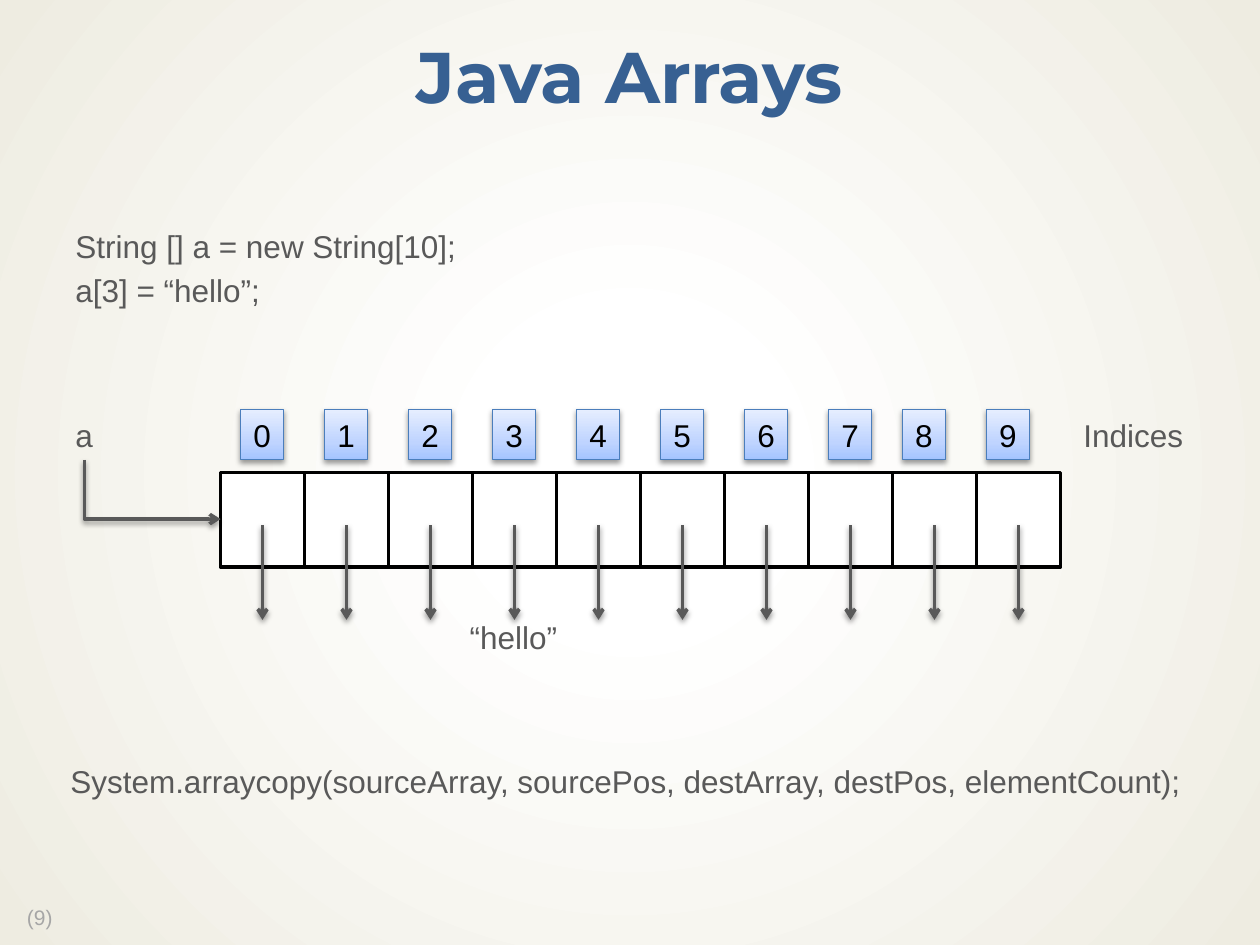
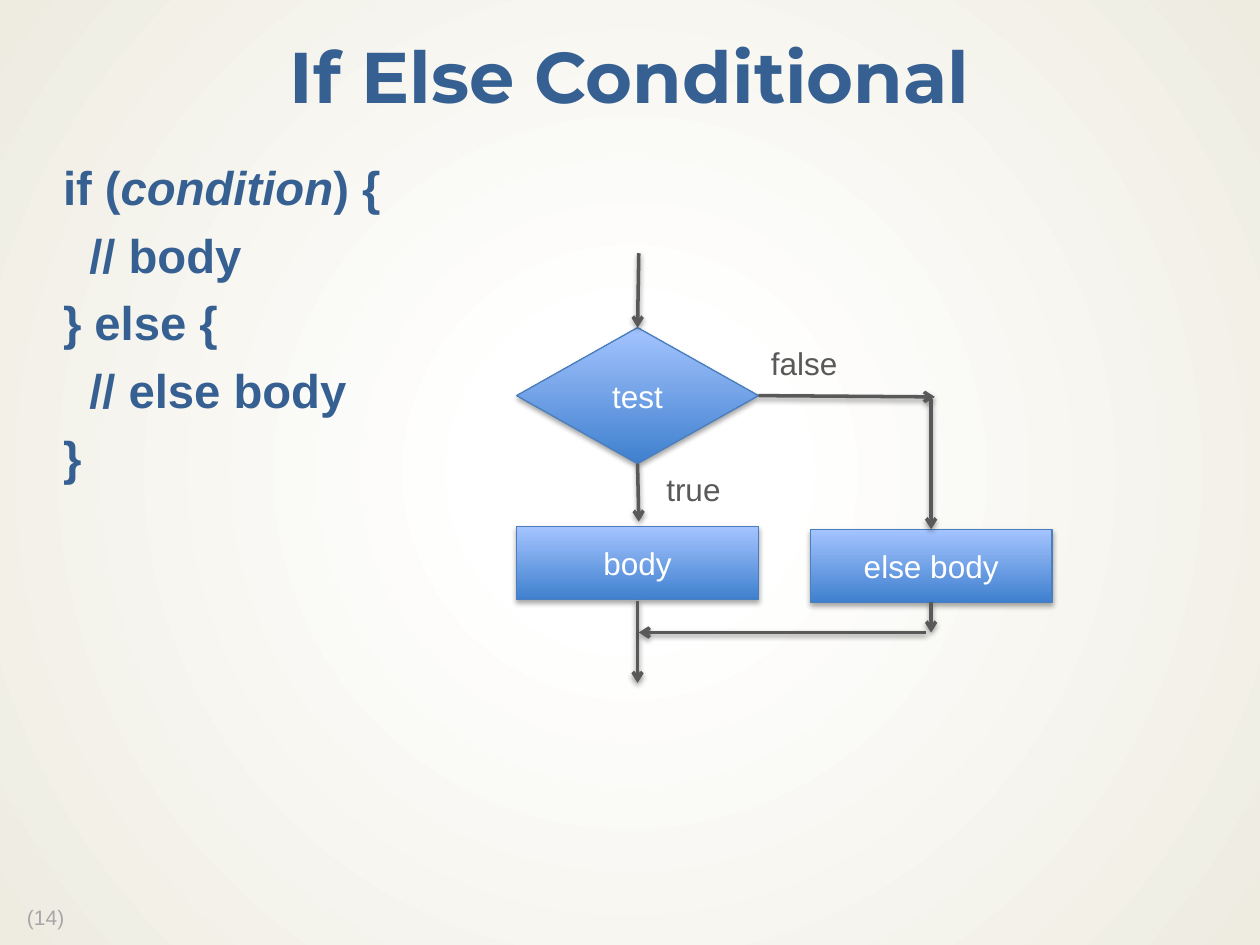
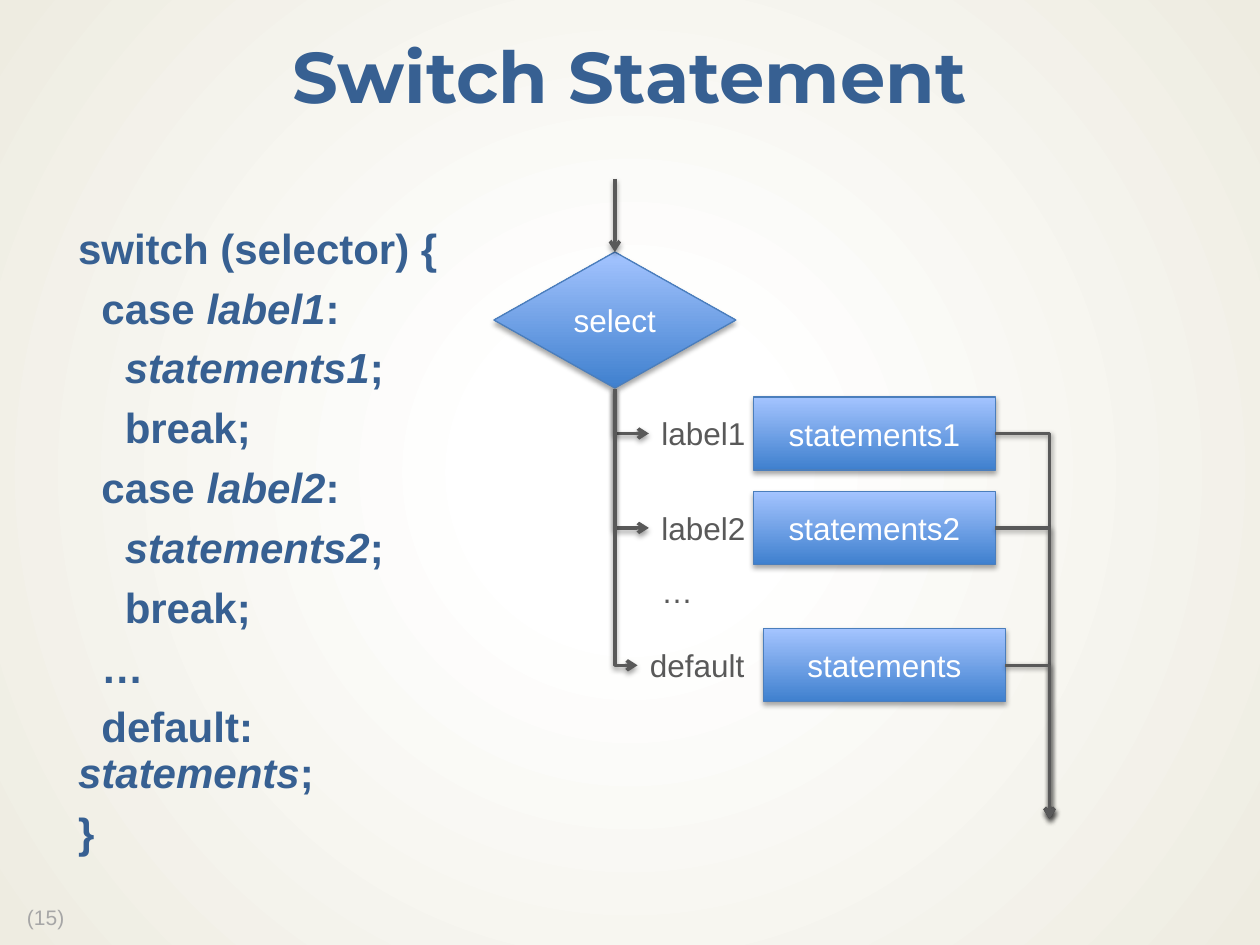
from dataclasses import dataclass

from pptx import Presentation, oxml, util as u
from pptx.dml.color import RGBColor
from pptx.enum import shapes, text
from pptx.oxml import ns


@dataclass(frozen=True)
class Theme:
    heading: str = "376092"
    body: str = "595959"
    muted: str = "A6A6A6"
    white: str = "FFFFFF"
    black: str = "000000"
    outline: str = "4B7EBC"
    head_font: str = "Montserrat"
    body_font: str = "Arial"
    title_size: int = 41
    label_size: int = 18
    footer_size: int = 12
    hairline: float = 0.75
    stroke: float = 2
    backdrop: tuple = ((18, "FFFFFF", 53), (100, "EEECE1", 100))
    deep: tuple = ((0, "3F80CE", 100), (100, "A4C4FF", 100))
    pale: tuple = ((0, "A4C4FF", 100), (35, "BFD4FF", 100), (100, "E6EEFF", 100))
    upward: str = '<a:lin ang="16200000" scaled="0"/>'
    radial: str = ('<a:path path="circle"><a:fillToRect l="50000" t="50000" '
                   'r="50000" b="50000"/></a:path>')


THEME = Theme()
SHAPE = shapes.MSO_SHAPE
LEFT, CENTER = text.PP_ALIGN.LEFT, text.PP_ALIGN.CENTER
TOP, MIDDLE = text.MSO_ANCHOR.TOP, text.MSO_ANCHOR.MIDDLE
NODE = (1.92, 0.58)
DIAMOND = (1.92, 1.08)


def assign(target, values):
    for name, value in values.items():
        setattr(target, name, value)


def apply_gradient(owner, fill, stops, direction):
    fill.background()
    marks = "".join(
        f'<a:gs pos="{place * 1000}"><a:srgbClr val="{color}">'
        f'<a:alpha val="{alpha * 1000}"/></a:srgbClr></a:gs>'
        for place, color, alpha in stops)
    gradient = oxml.parse_xml(
        f'<a:gradFill {ns.nsdecls("a")} rotWithShape="1">'
        f'<a:gsLst>{marks}</a:gsLst>{direction}</a:gradFill>')
    empty = owner.xpath(".//a:noFill")[0]
    empty.getparent().replace(empty, gradient)


def add_shadow(item, alpha, distance):
    item.element.spPr.append(oxml.parse_xml(
        f'<a:effectLst {ns.nsdecls("a")}><a:outerShdw blurRad="{u.Pt(3.1)}" '
        f'dist="{u.Pt(distance)}" dir="5400000" rotWithShape="0">'
        f'<a:srgbClr val="{THEME.black}"><a:alpha val="{alpha * 1000}"/>'
        '</a:srgbClr></a:outerShdw></a:effectLst>'))


class Builder:
    def __init__(self):
        self.deck = Presentation()
        assign(self.deck, {"slide_width": u.Inches(10),
                           "slide_height": u.Inches(7.5)})
        master = self.deck.slide_master
        apply_gradient(master.element, master.background.fill,
                       THEME.backdrop, THEME.radial)
        self.slide = None

    def page(self, title, number):
        self.slide = self.deck.slides.add_slide(self.deck.slide_layouts[6])
        self.label(f" ({number})", 0.07, 7.15, 0.56, 0.28, color=THEME.muted,
                   size=THEME.footer_size, spacing=0.9)
        box = self.slide.shapes.add_textbox(
            *map(u.Inches, (0, 0.17, 10, 0.94)))
        self.frame(box, wrap=True, anchor=MIDDLE, insets=(0.13, 0.06))
        self.fill_para(box.text_frame.paragraphs[0], title, THEME.title_size,
                       THEME.heading, CENTER, 0.9, bold=True,
                       font=THEME.head_font)

    def frame(self, box, wrap=False, anchor=TOP, insets=(0.1, 0.05)):
        side, edge = map(u.Inches, insets)
        assign(box.text_frame, {
            "word_wrap": wrap, "vertical_anchor": anchor,
            "margin_left": side, "margin_right": side,
            "margin_top": edge, "margin_bottom": edge})

    def fill_para(self, para, words, size, color, align=LEFT, spacing=1.0,
                  bold=False, font=THEME.body_font):
        assign(para, {"alignment": align, "line_spacing": spacing})
        for index, part in enumerate(words.split("*")):
            if part:
                span = para.add_run()
                span.text = part
                assign(span.font, {"name": font, "size": u.Pt(size),
                                   "bold": bold, "italic": index % 2 == 1})
                span.font.color.rgb = RGBColor.from_string(color)

    def label(self, words, left, top, width, height=0.4, color=THEME.body,
              size=THEME.label_size, spacing=1.0):
        box = self.slide.shapes.add_textbox(
            *map(u.Inches, (left, top, width, height)))
        self.frame(box)
        self.fill_para(box.text_frame.paragraphs[0], words, size, color,
                       spacing=spacing)

    def code(self, lines, place, size):
        box = self.slide.shapes.add_textbox(*map(u.Inches, place))
        self.frame(box, wrap=True, insets=(0.12, 0.06))
        for index, (level, words) in enumerate(lines):
            body = box.text_frame
            para = body.add_paragraph() if index else body.paragraphs[0]
            self.fill_para(para, words, size, THEME.heading, spacing=0.9,
                           bold=True)
            para.space_before = u.Pt(0.345 * size if index else 0)
            para._p.get_or_add_pPr().set(
                "indent", str(u.Pt(0.556 * size * level)))

    def block(self, kind, left, top, size, line, width):
        block = self.slide.shapes.add_shape(
            kind, *map(u.Inches, (left, top, *size)))
        block.line.color.rgb = RGBColor.from_string(line)
        block.line.width = u.Pt(width)
        return block

    def cell(self, left, top, size):
        cell = self.block(SHAPE.RECTANGLE, left, top, size, THEME.black,
                          THEME.stroke)
        cell.shadow.inherit = False
        cell.fill.solid()
        cell.fill.fore_color.rgb = RGBColor.from_string(THEME.white)

    def node(self, words, left, top, size=NODE, kind=SHAPE.RECTANGLE,
             stops=THEME.deep, color=THEME.white, shadow=(35, 1.8), wrap=True):
        node = self.block(kind, left, top, size, THEME.outline, THEME.hairline)
        apply_gradient(node.element.spPr, node.fill, stops, THEME.upward)
        add_shadow(node, *shadow)
        self.frame(node, wrap=wrap, anchor=MIDDLE)
        self.fill_para(node.text_frame.paragraphs[0], words, THEME.label_size,
                       color, CENTER)

    def arrow(self, start, end, kind=shapes.MSO_CONNECTOR.STRAIGHT):
        arrow = self.slide.shapes.add_connector(
            kind, *map(u.Inches, (*start, *end)))
        arrow.line.color.rgb = RGBColor.from_string(THEME.body)
        arrow.line.width = u.Pt(THEME.stroke)
        arrow.element.spPr.find(ns.qn("a:ln")).append(
            oxml.parse_xml(f'<a:tailEnd {ns.nsdecls("a")} type="arrow"/>'))
        add_shadow(arrow, 38, 1.6)
        return arrow

    def elbow(self, start, end, down_first=False):
        arrow = self.arrow(start, end, shapes.MSO_CONNECTOR.ELBOW)
        outline = arrow.element.spPr
        outline.find(ns.qn("a:prstGeom")).set("prst", "bentConnector2")
        if down_first:
            wide, high = arrow.width, arrow.height
            shift = (wide - high) // 2
            assign(arrow, {"left": arrow.left + shift, "top": arrow.top - shift,
                           "width": high, "height": wide})
            turn = outline.find(ns.qn("a:xfrm"))
            turn.set("rot", "16200000")
            turn.set("flipH", "1")


def arrays_slide(build):
    build.page("Java Arrays", 9)
    build.label("String [] a = new String[10];", 0.5, 1.75, 3.25)
    build.label("a[3] = “hello”;", 0.5, 2.1, 1.69)
    pitch = 2 / 3
    for index in range(10):
        build.cell(1.75 + pitch * index, 3.75, (pitch, 0.75))
    for index in range(10):
        nudge = 0.08 if index > 7 else 0
        build.node(str(index), 1.91 + pitch * index - nudge, 3.25, (0.34, 0.4),
                   stops=THEME.pale, color=THEME.black, shadow=(38, 1.6),
                   wrap=False)
        middle = 1.75 + pitch * (index + 0.5)
        build.arrow((middle, 4.17), (middle, 4.92))
    build.label("Indices", 8.5, 3.25, 1)
    build.label("a", 0.5, 3.25, 0.34)
    build.elbow((0.67, 3.65), (1.75, 4.12), down_first=True)
    build.label("“hello”", 3.63, 4.86, 0.9)
    build.label("System.arraycopy(sourceArray, sourcePos, destArray, destPos, "
                "elementCount);", 0.46, 6, 9.08)


def conditional_slide(build):
    build.page("If Else Conditional", 14)
    build.code([(0, "if (*condition*) {"), (1, "// body"), (0, "} else {"),
                (1, "// else body"), (0, "}")], (0.38, 1.25, 9.25, 5.65), 27)
    build.node("test", 4.1, 2.6, DIAMOND, SHAPE.DIAMOND)
    build.node("body", 4.1, 4.18)
    build.node("else body", 6.43, 4.2)
    build.label("true", 5.19, 3.68, 0.64)
    build.label("false", 6.02, 2.68, 0.74)
    for start, end in [((5.07, 2.01), (5.06, 2.6)), ((5.06, 3.68), (5.07, 4.14)),
                       ((5.06, 4.77), (5.06, 5.42)), ((6.02, 3.14), (7.42, 3.15)),
                       ((7.35, 5.02), (5.07, 5.02)), ((7.39, 3.17), (7.39, 4.2)),
                       ((7.39, 4.78), (7.39, 5.02))]:
        build.arrow(start, end)


def switch_slide(build):
    build.page("Switch Statement", 15)
    cases = [line for case in "12" for line in (
        (1, f"case *label{case}*:"), (2, f"*statements{case}*;"), (2, "break;"))]
    build.code([(0, "switch (selector) {"), *cases, (1, "…"),
                (1, "default: *statements*;"), (0, "}")],
               (0.5, 1.75, 3.33, 4.87), 24)
    build.node("select", 3.92, 2, DIAMOND, SHAPE.DIAMOND)
    build.arrow((4.88, 1.42), (4.88, 2))
    for name, body, top, label_left, label_width, left in [
            ("label1", "statements1", 3.15, 5.15, 0.88, 5.98),
            ("label2", "statements2", 3.9, 5.15, 0.88, 5.98),
            ("default", "statements", 4.99, 5.06, 0.96, 6.06)]:
        middle = top + NODE[1] / 2
        build.node(body, left, top)
        build.label(name, label_left, top + 0.09, label_width)
        build.elbow((4.88, 3.09), (label_left, middle), down_first=True)
        build.elbow((left + NODE[0], middle), (8.33, 6.5))
    build.label("…", 5.15, 4.49, 0.45)


build = Builder()
arrays_slide(build)
conditional_slide(build)
switch_slide(build)
build.deck.save("out.pptx")
